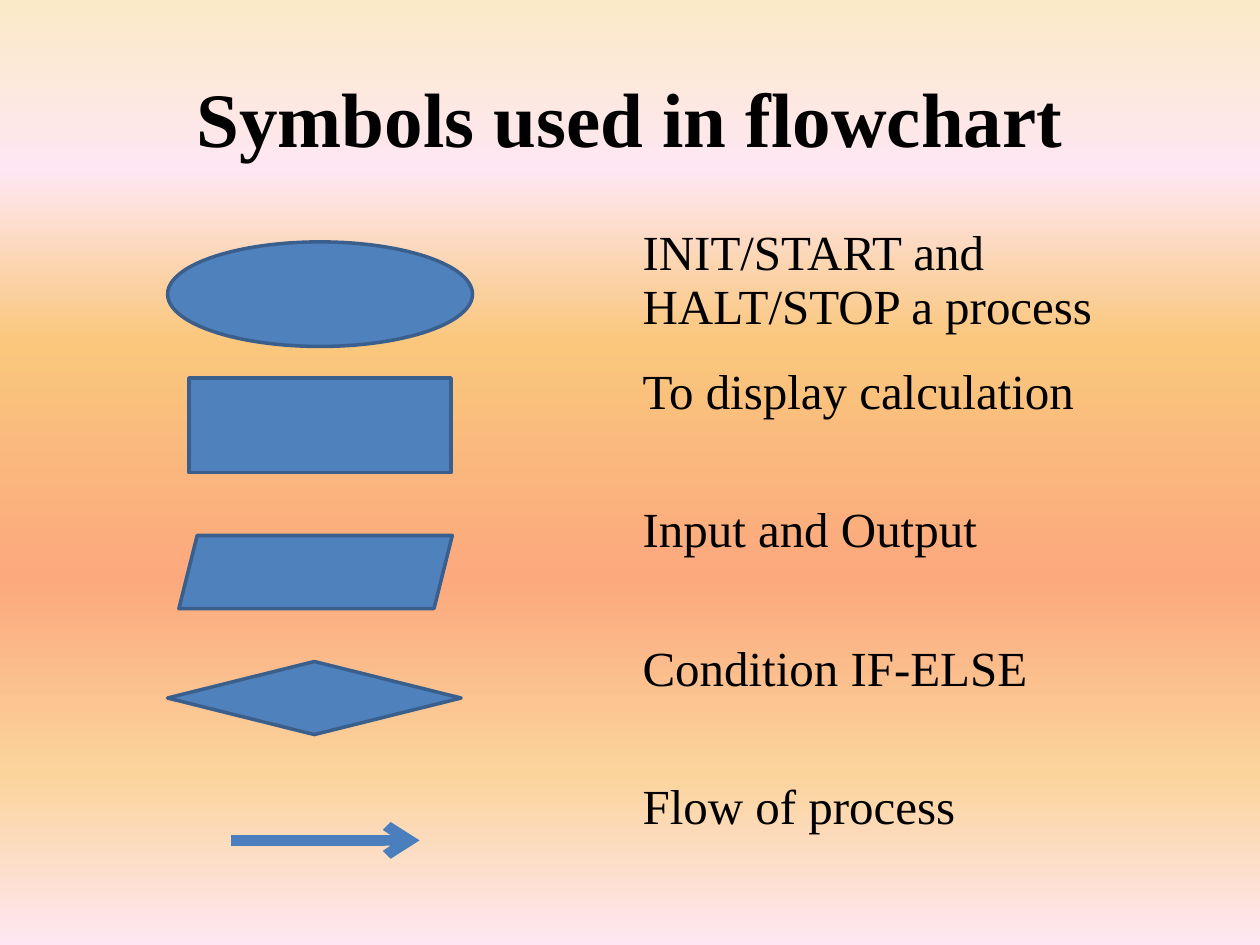
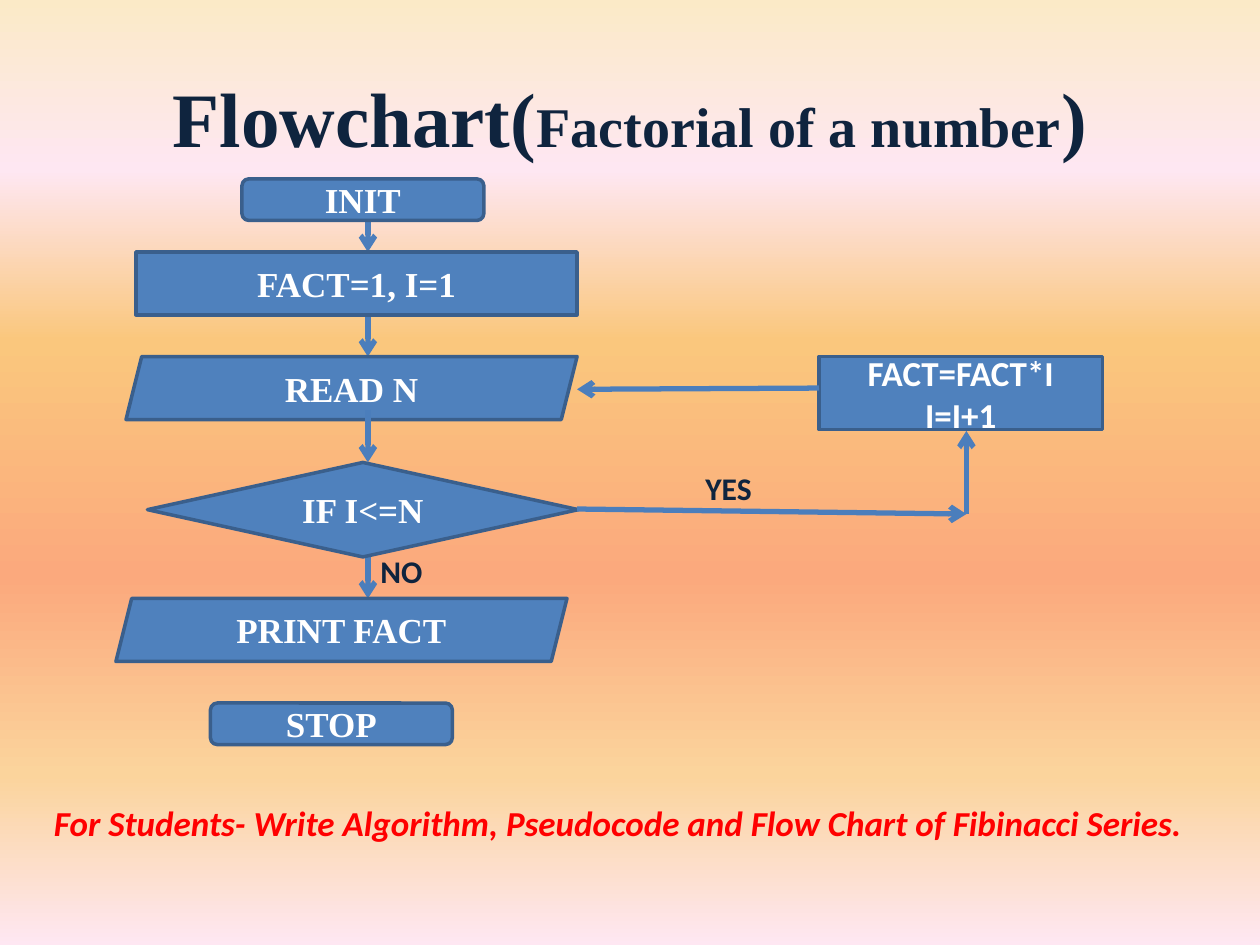
from lxml import etree
from pptx import Presentation
from pptx.dml.color import RGBColor
from pptx.enum import shapes, text
from pptx.oxml.ns import qn
from pptx.util import Inches, Pt

SERIF, SANS = "Times New Roman", "Calibri"
BLACK = RGBColor(0x00, 0x00, 0x00)
NAVY = RGBColor(0x0F, 0x24, 0x3E)
WHITE = RGBColor(0xFF, 0xFF, 0xFF)
RED = RGBColor(0xFF, 0x00, 0x00)
BLUE = RGBColor(0x4F, 0x81, 0xBD)
OUTLINE = RGBColor(0x3A, 0x5F, 0x8C)
ARROW = RGBColor(0x4B, 0x7E, 0xBC)
SUNSET = [(0, "FBEAC7"), (18, "FEE7F2"), (36, "FAC77D"),
          (61, "FBA97D"), (82, "FBD49C"), (100, "FEE7F2")]
NO_GRID_STYLE = "{2D5ABB26-0587-4C30-8999-92F81FD0307C}"

OVAL = shapes.MSO_SHAPE.OVAL
RECT = shapes.MSO_SHAPE.RECTANGLE
ROUNDED = shapes.MSO_SHAPE.ROUNDED_RECTANGLE
SLANTED = shapes.MSO_SHAPE.PARALLELOGRAM
DECISION = shapes.MSO_SHAPE.FLOWCHART_DECISION


# Shared parts
def inches(*lengths):
    return [Inches(length) for length in lengths]


def paint_background(master):
    master.background.fill.gradient()
    gradient = master.element.find(".//" + qn("a:gradFill"))
    for child in list(gradient):
        gradient.remove(child)
    stops = etree.SubElement(gradient, qn("a:gsLst"))
    for percent, colour in SUNSET:
        stop = etree.SubElement(stops, qn("a:gs"), pos=str(percent * 1000))
        etree.SubElement(stop, qn("a:srgbClr"), val=colour)
    etree.SubElement(gradient, qn("a:lin"), ang="5400000", scaled="0")


def add_span(para, words, size, colour, font=SERIF, bold=True, italic=False):
    span = para.add_run()
    span.text = words
    span.font.name = font
    span.font.size = Pt(size)
    span.font.bold = bold
    span.font.italic = italic
    span.font.color.rgb = colour


def add_lines(frame, lines, *style, align=None, **options):
    for index, line in enumerate(lines):
        para = frame.add_paragraph() if index else frame.paragraphs[0]
        para.alignment = align
        add_span(para, line, *style, **options)


def add_page(deck, title_spans, colour):
    page = deck.slides.add_slide(deck.slide_layouts[5])
    title = page.shapes.title
    title.left, title.top, title.width, title.height = inches(0.5, 0.3, 9, 1.25)
    title.text_frame.vertical_anchor = text.MSO_ANCHOR.MIDDLE
    para = title.text_frame.paragraphs[0]
    para.alignment = text.PP_ALIGN.CENTER
    for words, size in title_spans:
        add_span(para, words, size, colour)
    return page


def add_symbol(page, kind, box, lines=(), font=SERIF):
    symbol = page.shapes.add_shape(kind, *inches(*box))
    symbol.shadow.inherit = False
    symbol.fill.solid()
    symbol.fill.fore_color.rgb = BLUE
    symbol.line.color.rgb = OUTLINE
    symbol.line.width = Pt(2)
    symbol.text_frame.vertical_anchor = text.MSO_ANCHOR.MIDDLE
    add_lines(symbol.text_frame, lines, 20, WHITE, font=font,
              align=text.PP_ALIGN.CENTER)


def add_arrow(page, start, end, width=3):
    arrow = page.shapes.add_connector(shapes.MSO_CONNECTOR.STRAIGHT,
                                      *inches(*start, *end))
    arrow.line.color.rgb = ARROW
    arrow.line.width = Pt(width)
    etree.SubElement(arrow.line._get_or_add_ln(), qn("a:tailEnd"), type="arrow")
    etree.SubElement(arrow._element.spPr, qn("a:effectLst"))


def add_label(page, box, words, size, colour, italic=False):
    frame = page.shapes.add_textbox(*inches(*box)).text_frame
    frame.word_wrap = True
    frame.auto_size = text.MSO_AUTO_SIZE.SHAPE_TO_FIT_TEXT
    add_lines(frame, [words], size, colour, font=SANS, italic=italic)


# Symbols and their meanings
def add_meanings(page, box, meanings):
    table = page.shapes.add_table(len(meanings), 2, *inches(*box)).table
    table.first_row = table.horz_banding = False
    table._tbl.tblPr.find(qn("a:tableStyleId")).text = NO_GRID_STYLE
    for row, lines in enumerate(meanings):
        for column in range(2):
            table.cell(row, column).fill.background()
        add_lines(table.cell(row, 1).text_frame, lines, 28, BLACK, bold=False)


def build_symbols(deck):
    page = add_page(deck, [("Symbols used in flowchart", 44)], BLACK)
    add_meanings(page, (0.5, 1.75, 9, 5.5), [
        ["INIT/START and", "HALT/STOP a process"],
        ["To display calculation"],
        ["Input and Output"],
        ["Condition IF-ELSE"],
        ["Flow of process"],
    ])
    for kind, box in [
        (OVAL, (1.33, 1.92, 2.42, 0.83)),
        (RECT, (1.5, 3, 2.08, 0.75)),
        (SLANTED, (1.42, 4.25, 2.17, 0.58)),
        (DECISION, (1.33, 5.25, 2.33, 0.58)),
    ]:
        add_symbol(page, kind, box)
    add_arrow(page, (1.83, 6.67), (3.33, 6.67), width=6)


# Factorial flowchart
def add_main_flow(page, left, top):
    axis = left + 2
    for start, end in [(0.16, 0.58), (1, 1.41), (2.91, 3.33)]:
        add_arrow(page, (axis, top + start), (axis, top + end))
    for kind, x, y, width, height, words in [
        (ROUNDED, 1, 0, 1.92, 0.33, "INIT"),
        (RECT, 0.16, 0.58, 3.5, 0.5, "FACT=1, I=1"),
        (SLANTED, 0.08, 1.41, 3.58, 0.5, "READ N"),
        (DECISION, 0.25, 2.25, 3.42, 0.75, "IF I<=N"),
        (SLANTED, 0, 3.33, 3.58, 0.5, "PRINT FACT"),
        (ROUNDED, 0.75, 4.16, 1.92, 0.33, "STOP"),
    ]:
        add_symbol(page, kind, (left + x, top + y, width, height), [words])
    add_arrow(page, (axis, top + 1.83), (axis, top + 2.25))
    add_label(page, (axis, top + 2.91, 1.33, 0.42), "NO", 18, NAVY)


def add_loop(page, left, top):
    step_left, corner = left + 1.92, (left + 3.09, top + 1.25)
    add_symbol(page, RECT, (step_left, top, 2.25, 0.58),
               ["FACT=FACT*I", "I=I+1"], font=SANS)
    add_arrow(page, (left, top + 1.21), corner)
    add_arrow(page, corner, (corner[0], top + 0.59))
    add_arrow(page, (step_left, top + 0.25), (left, top + 0.26))
    add_label(page, (left + 0.92, top + 0.84, 1.33, 0.42), "YES", 18, NAVY)


def build_factorial(deck):
    page = add_page(deck, [("Flowchart(", 44), ("Factorial of a number", 32),
                           (")", 44)], NAVY)
    add_main_flow(page, 0.92, 1.42)
    add_loop(page, 4.58, 2.83)
    add_label(page, (0.33, 6.31, 9.25, 0.44),
              "For Students- Write Algorithm, Pseudocode and Flow Chart of "
              "Fibinacci Series.", 20, RED, italic=True)


def main():
    deck = Presentation()
    deck.slide_width, deck.slide_height = inches(10, 7.5)
    paint_background(deck.slide_master)
    build_symbols(deck)
    build_factorial(deck)
    deck.save("out.pptx")


if __name__ == "__main__":
    main()
